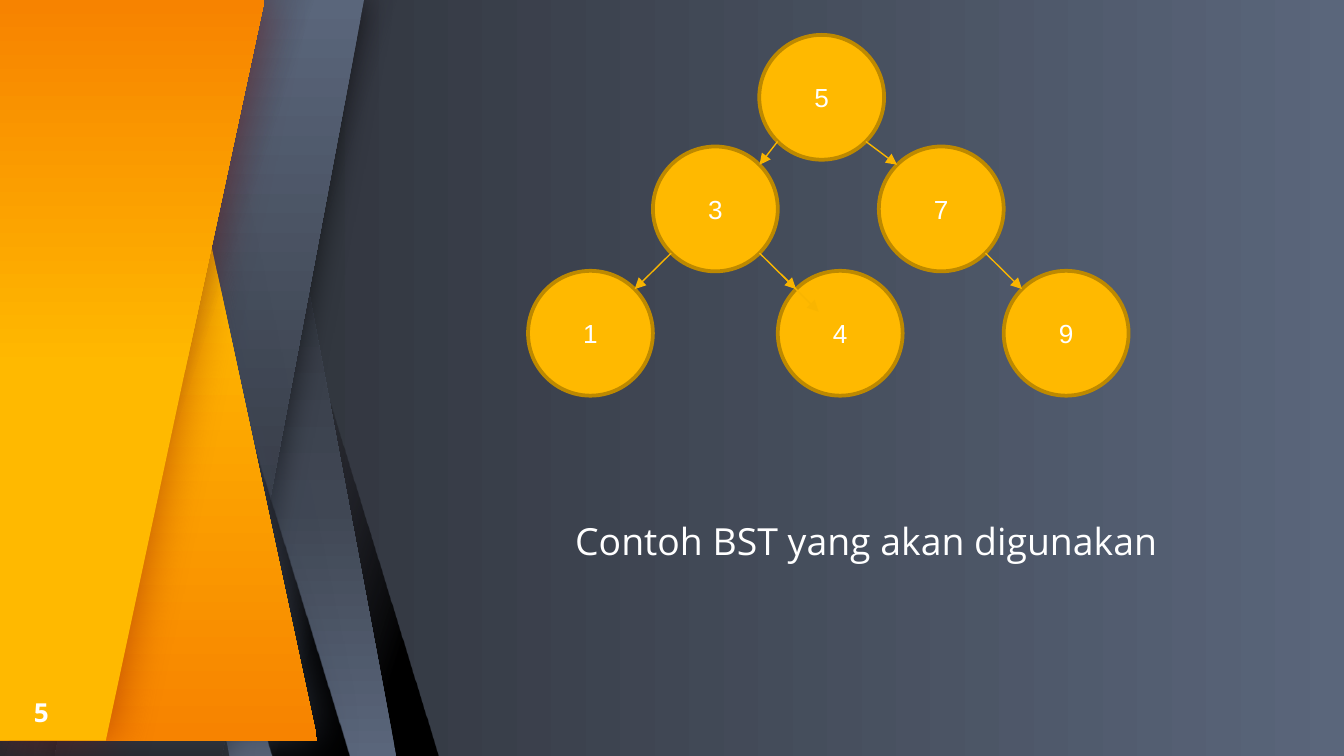
from math import sqrt

from lxml import etree
from pptx import Presentation
from pptx import util as u
from pptx.dml.color import RGBColor
from pptx.enum import shapes, text
from pptx.oxml import ns

COLORS = {
    "amber": "FFB900", "orange": "F78300", "rim": "BD8900", "arrow": "F9B500",
    "slate": "5A667B", "steel": "404754", "night": "26282D", "dusk": "3E4655",
    "shade": "27252C", "black": "000000", "wine": "7E0808", "white": "FFFFFF",
}
WIDTH, HEIGHT = 25.4, 14.29
BAND_WIDTH = 5.84
DIAMETER = 2.36


def rgb(name):
    return RGBColor.from_string(COLORS[name])


def add_element(parent, tag, **attributes):
    element = etree.SubElement(parent, ns.qn(tag))
    for key, value in attributes.items():
        element.set(key, str(value))
    return element


class Deck:
    def __init__(self):
        self.presentation = Presentation()
        self.presentation.slide_width = u.Cm(WIDTH)
        self.presentation.slide_height = u.Cm(HEIGHT)
        self.slide = self.presentation.slides.add_slide(self.presentation.slide_layouts[6])

    def background(self, start, end, angle):
        fill = self.slide.background.fill
        fill.gradient()
        fill.gradient_angle = angle
        for stop, name in zip(fill.gradient_stops, (start, end)):
            stop.color.rgb = rgb(name)

    def paint(self, shape, stops, angle, shadow=None):
        shape.shadow.inherit = False
        shape.line.fill.background()
        shape.fill.gradient()
        properties = shape._element.spPr
        gradient = properties.find(ns.qn("a:gradFill"))
        for child in list(gradient):
            gradient.remove(child)
        stop_list = add_element(gradient, "a:gsLst")
        for position, name, *alpha in stops:
            stop = add_element(stop_list, "a:gs", pos=position * 1000)
            color = add_element(stop, "a:srgbClr", val=COLORS[name])
            if alpha:
                add_element(color, "a:alpha", val=alpha[0] * 1000)
        add_element(gradient, "a:lin", ang=angle * 60000, scaled=0)
        if shadow:
            name, alpha, blur = shadow
            effects = properties.find(ns.qn("a:effectLst"))
            outer = add_element(effects, "a:outerShdw", blurRad=int(u.Pt(blur)),
                                dist=0, dir=0, algn="ctr", rotWithShape=0)
            color = add_element(outer, "a:srgbClr", val=COLORS[name])
            add_element(color, "a:alpha", val=alpha * 1000)

    def band(self, left, slant, stops, angle, flip=False, shadow=None):
        shape = self.slide.shapes.add_shape(
            shapes.MSO_SHAPE.PARALLELOGRAM, u.Cm(left), 0, u.Cm(BAND_WIDTH), u.Cm(HEIGHT))
        shape.adjustments[0] = slant
        if flip:
            shape._element.spPr.xfrm.set("flipH", "1")
        self.paint(shape, stops, angle, shadow)

    def panel(self, top_right, bottom_right, stops, angle, shadow):
        builder = self.slide.shapes.build_freeform(0, 0, scale=u.Cm(1))
        builder.add_line_segments(
            [(top_right, 0), (bottom_right, HEIGHT), (0, HEIGHT)], close=True)
        self.paint(builder.convert_to_shape(), stops, angle, shadow)

    def set_words(self, paragraph, words, font, size, bold=False):
        paragraph.text = words
        paragraph.font.name = font
        paragraph.font.size = u.Pt(size)
        paragraph.font.bold = bold
        paragraph.font.color.rgb = rgb("white")

    def label(self, left, top, width, height, words, size, bold=False,
              anchor=text.MSO_ANCHOR.TOP):
        box = self.slide.shapes.add_textbox(u.Cm(left), u.Cm(top), u.Cm(width), u.Cm(height))
        frame = box.text_frame
        frame.word_wrap = True
        frame.vertical_anchor = anchor
        frame.margin_left = frame.margin_right = frame.margin_top = frame.margin_bottom = 0
        self.set_words(frame.paragraphs[0], words, "Open Sans", size, bold)

    def node(self, center, words):
        x, y = center
        shape = self.slide.shapes.add_shape(
            shapes.MSO_SHAPE.OVAL, u.Cm(x - DIAMETER / 2), u.Cm(y - DIAMETER / 2),
            u.Cm(DIAMETER), u.Cm(DIAMETER))
        shape.shadow.inherit = False
        shape.fill.solid()
        shape.fill.fore_color.rgb = rgb("amber")
        shape.line.color.rgb = rgb("rim")
        shape.line.width = u.Pt(2)
        shape.text_frame.vertical_anchor = text.MSO_ANCHOR.MIDDLE
        paragraph = shape.text_frame.paragraphs[0]
        paragraph.alignment = text.PP_ALIGN.CENTER
        self.set_words(paragraph, words, "Arial", 14)

    def arrow(self, start, end):
        connector = self.slide.shapes.add_connector(
            shapes.MSO_CONNECTOR.STRAIGHT, *[u.Cm(value) for value in (*start, *end)])
        connector.line.color.rgb = rgb("arrow")
        connector.line.width = u.Pt(0.75)
        properties = connector._element.spPr
        add_element(properties.find(ns.qn("a:ln")), "a:tailEnd", type="triangle")
        add_element(properties, "a:effectLst")

    def edge(self, parent, child):
        reach = DIAMETER / 2 / sqrt(2)
        side = reach if child[0] > parent[0] else -reach
        self.arrow((parent[0] + side, parent[1] + reach), (child[0] - side, child[1] - reach))


deck = Deck()
deck.background("slate", "night", 180)

steep, gentle = 0.75, 0.46
black_fade = [(0, "black"), (13, "black"), (55, "shade", 0), (100, "shade", 0)]
dusk_fade = [(0, "dusk"), (13, "dusk"), (56, "shade", 0), (100, "shade", 0)]
deck.band(2.44, steep, black_fade, 342, flip=True)
deck.band(1.65, gentle, [(0, "slate"), (33, "steel"), (100, "night")], 270, flip=True)
deck.band(1.65, steep, dusk_fade, 18)
deck.band(1.04, gentle, [(0, "slate"), (100, "night")], 90, shadow=("black", 63, 16.9))
deck.band(0.76, steep, black_fade, 342, flip=True)
deck.panel(2.92, 5.66, [(0, "amber"), (37, "amber"), (100, "orange")], 90, ("dusk", 71, 24.8))
deck.band(0.08, steep, dusk_fade, 18)
deck.panel(5.08, 2.34, [(0, "amber"), (50, "amber"), (100, "orange")], 270, ("wine", 50, 24.8))

deck.label(0.64, 13.11, 1.02, 0.69, "5", 14, bold=True, anchor=text.MSO_ANCHOR.MIDDLE)

middle, bottom = 3.95, 6.3
left_x, right_x = 13.52, 17.79
centers = {
    "5": (15.53, 1.84),
    "9": (right_x + DIAMETER, bottom),
    "4": (left_x + DIAMETER, bottom),
    "7": (right_x, middle),
    "3": (left_x, middle),
    "1": (left_x - DIAMETER, bottom),
}
for key, center in centers.items():
    deck.node(center, key)
for parent, child in ("53", "31", "34", "57", "79"):
    deck.edge(centers[parent], centers[child])
deck.arrow((14.76, 5.18), (15.47, 5.89))

deck.label(10.87, 9.8, 14.35, 4.06, "Contoh BST yang akan digunakan", 20)

deck.presentation.save("out.pptx")
